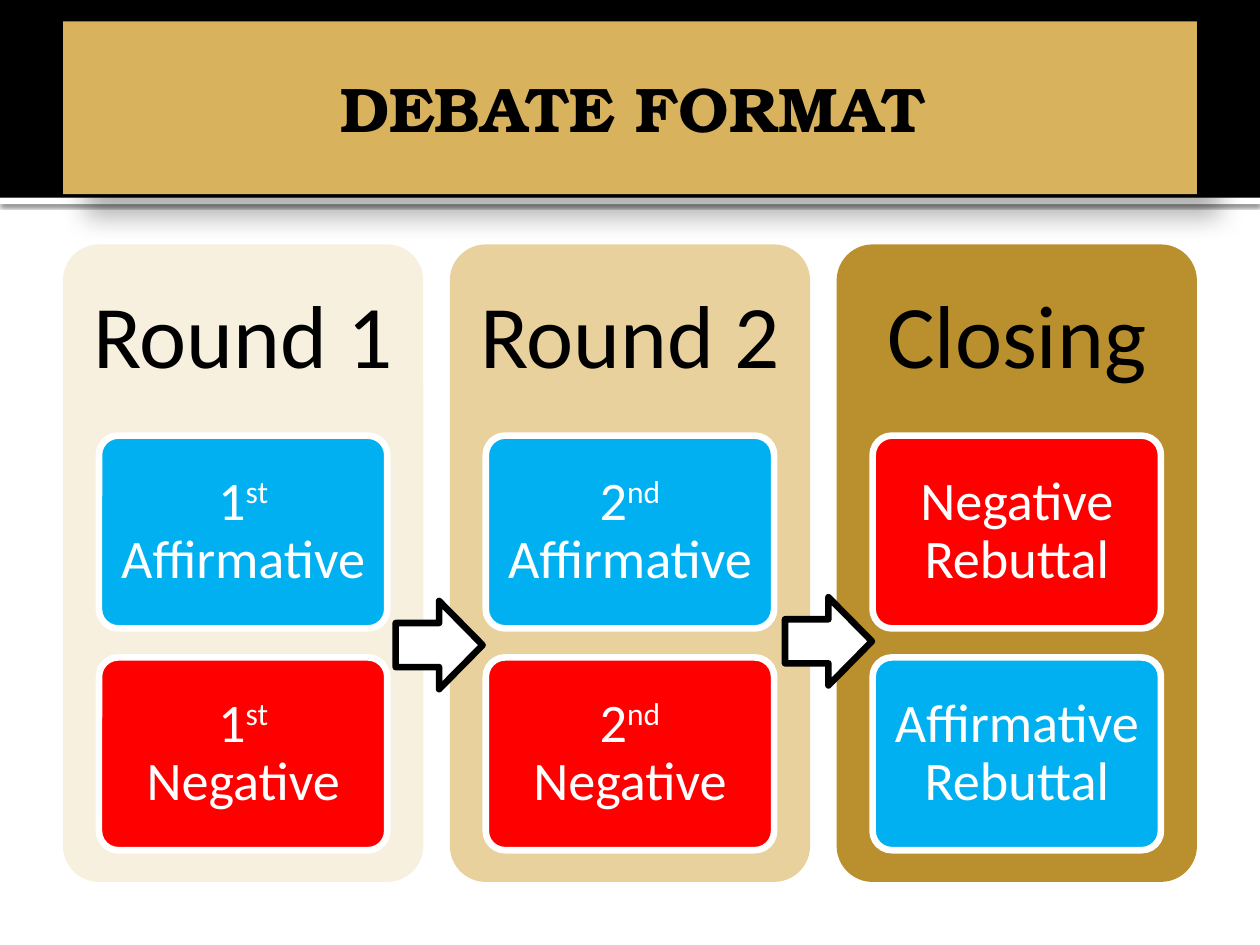
from dataclasses import dataclass

from lxml import etree
from pptx import Presentation
from pptx import util as u
from pptx.dml.color import RGBColor
from pptx.enum import shapes, text
from pptx.oxml.ns import qn

COLORS = {
    "black": "000000", "white": "FFFFFF", "gold": "D8B25C",
    "cream": "F7F0DE", "sand": "E8D19D", "bronze": "BA8F2D",
    "affirmative": "00B0F0", "negative": "FF0000",
}
WIDTH, HEIGHT = 10, 7.5
MARGIN, BAND_HEIGHT = 0.05 * WIDTH, 1.57
# Round grid: three columns, each with a heading and two speeches
PANEL_TOP, PANEL_WIDTH, PANEL_HEIGHT = 1.94, 2.86, 5.06
COLUMN_STEP = (WIDTH - 2 * MARGIN - PANEL_WIDTH) / 2
HEADING_HEIGHT = 0.3 * PANEL_HEIGHT
SPEECH_WIDTH, SPEECH_HEIGHT = 0.8 * PANEL_WIDTH, 1.53
SPEECH_STEP = 1.76
OUTLINE = 3.78


@dataclass
class Speech:
    side: str
    runs: list[tuple[str, bool]]  # wording, superscript


@dataclass
class Round:
    heading: str
    color: str
    speeches: list[Speech]


def numbered(number: str, suffix: str, side: str) -> Speech:
    return Speech(side, [(number, False), (suffix, True), (f" {side.title()}", False)])


def rebuttal(side: str) -> Speech:
    return Speech(side, [(f"{side.title()} Rebuttal", False)])


ROUNDS = [
    Round("Round 1", "cream", [numbered("1", "st", "affirmative"), numbered("1", "st", "negative")]),
    Round("Round 2", "sand", [numbered("2", "nd", "affirmative"), numbered("2", "nd", "negative")]),
    Round("Closing", "bronze", [rebuttal("negative"), rebuttal("affirmative")]),
]
ARROWS = [(3.14, 4.77), (6.23, 4.74)]


def rgb(name: str) -> RGBColor:
    return RGBColor.from_string(COLORS[name])


def inches(*lengths: float) -> list[u.Length]:
    return [u.Inches(length) for length in lengths]


def write(target, runs, *, size, color, font="Calibri", bold=False,
          insets=(0.1, 0.05, 0.1, 0.05), spacing=None) -> None:
    frame = target.text_frame
    frame.word_wrap = True
    frame.auto_size = text.MSO_AUTO_SIZE.NONE
    frame.vertical_anchor = text.MSO_ANCHOR.MIDDLE
    (frame.margin_left, frame.margin_top,
     frame.margin_right, frame.margin_bottom) = inches(*insets)
    paragraph = frame.paragraphs[0]
    paragraph.alignment = text.PP_ALIGN.CENTER
    if spacing:
        paragraph.line_spacing = spacing
    for wording, superscript in runs:
        run = paragraph.add_run()
        run.text = wording
        run.font.name, run.font.size, run.font.bold = font, u.Pt(size), bold
        run.font.color.rgb = rgb(color)
        if superscript:
            run.font._element.set("baseline", "30000")


def add_block(slide, kind, box, fill: str, line: str | None = None, corner: float | None = None):
    block = slide.shapes.add_shape(kind, *inches(*box))
    block.shadow.inherit = False
    block.fill.solid()
    block.fill.fore_color.rgb = rgb(fill)
    if line:
        block.line.color.rgb = rgb(line)
        block.line.width = u.Pt(OUTLINE)
    else:
        block.line.fill.background()
    if corner is not None:
        block.adjustments[0] = corner
    return block


def cast_shadow(block, opacity: int, blur: float, distance: float, angle: int) -> None:
    block.shadow.inherit = False
    effects = block.element.spPr.find(qn("a:effectLst"))
    outer = etree.SubElement(effects, qn("a:outerShdw"), blurRad=str(u.Pt(blur)),
                             dist=str(u.Pt(distance)), dir=str(angle * 60000),
                             algn="tl", rotWithShape="0")
    tint = etree.SubElement(outer, qn("a:srgbClr"), val=COLORS["black"])
    etree.SubElement(tint, qn("a:alpha"), val=str(opacity * 1000))


def add_round(slide, column: int, debate_round: Round) -> None:
    left = MARGIN + column * COLUMN_STEP
    rounded = shapes.MSO_SHAPE.ROUNDED_RECTANGLE
    add_block(slide, rounded, (left, PANEL_TOP, PANEL_WIDTH, PANEL_HEIGHT),
              debate_round.color, corner=0.1)
    heading = slide.shapes.add_textbox(*inches(left, PANEL_TOP, PANEL_WIDTH, HEADING_HEIGHT))
    write(heading, [(debate_round.heading, False)], size=51, color="black",
          insets=(0.21,) * 4, spacing=0.9)
    for row, speech in enumerate(debate_round.speeches):
        box = (left + (PANEL_WIDTH - SPEECH_WIDTH) / 2,
               PANEL_TOP + HEADING_HEIGHT + row * SPEECH_STEP, SPEECH_WIDTH, SPEECH_HEIGHT)
        card = add_block(slide, rounded, box, speech.side, line="white", corner=0.1)
        write(card, speech.runs, size=31, color="white",
              insets=(0.09, 0.06, 0.09, 0.06), spacing=0.9)


def main() -> None:
    deck = Presentation()
    deck.slide_width, deck.slide_height = inches(WIDTH, HEIGHT)
    slide = deck.slides.add_slide(deck.slide_layouts[5])

    # Header band with a thin rule below it
    rectangle = shapes.MSO_SHAPE.RECTANGLE
    rule = add_block(slide, rectangle, (0, BAND_HEIGHT, WIDTH, 0.05), "white")
    cast_shadow(rule, 60, 2.5, 0.8, 90)
    add_block(slide, rectangle, (0, 0, WIDTH, BAND_HEIGHT), "black")

    # Title, brought in front of the band
    title = slide.shapes.title
    title.left, title.top, title.width, title.height = inches(
        MARGIN, 0.17, WIDTH - 2 * MARGIN, 1.37)
    title.fill.solid()
    title.fill.fore_color.rgb = rgb("gold")
    cast_shadow(title, 30, 15, 18, 45)
    write(title, [("DEBATE FORMAT", False)], size=36, color="black",
          font="TeX Gyre Bonum", bold=True, insets=(0.1, 0.05, 0.05, 0.05))
    title.element.getparent().append(title.element)

    # Rounds and the arrows between them
    for column, debate_round in enumerate(ROUNDS):
        add_round(slide, column, debate_round)
    for left, top in ARROWS:
        add_block(slide, shapes.MSO_SHAPE.RIGHT_ARROW, (left, top, 0.69, 0.7),
                  "white", line="black")

    deck.save("out.pptx")


if __name__ == "__main__":
    main()
